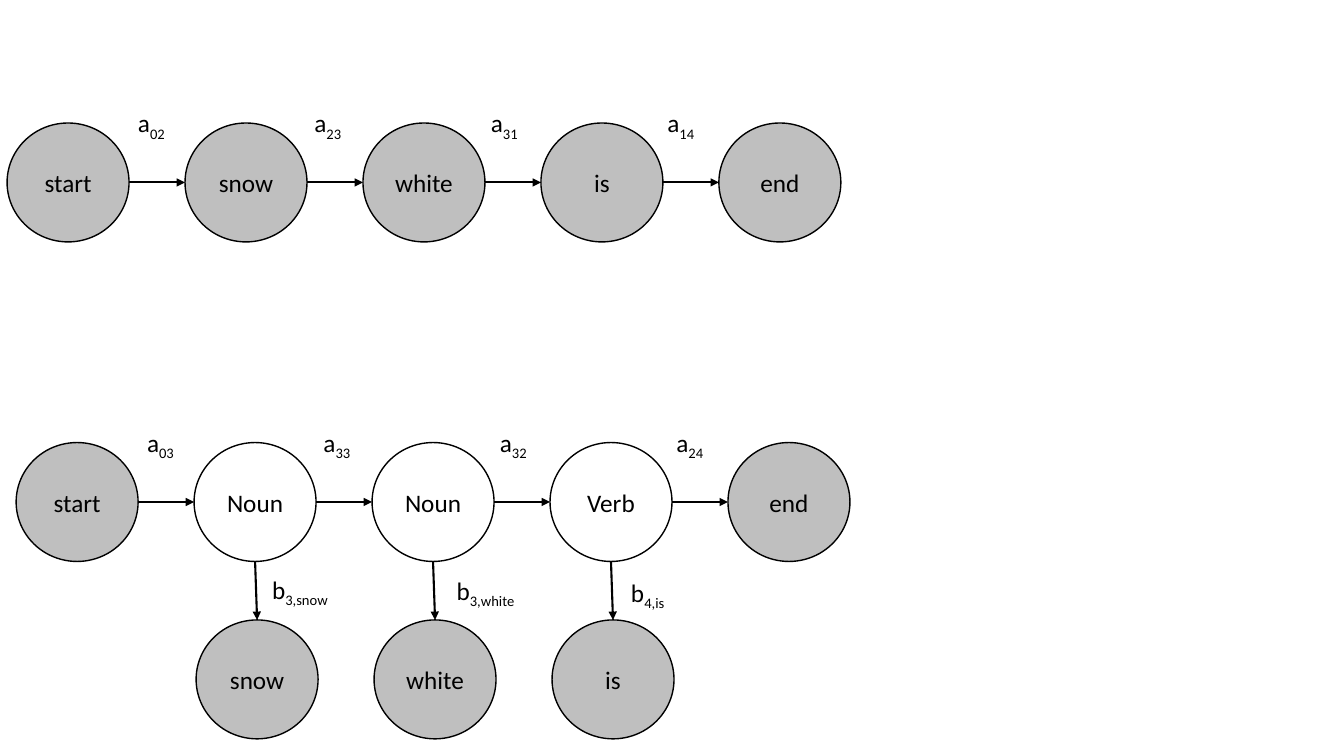
import pptx
import pptx.util
import pptx.dml.color
import pptx.enum.shapes
import pptx.enum.text
import pptx.oxml.ns
from lxml import etree

Inches, Pt = pptx.util.Inches, pptx.util.Pt
RGB = pptx.dml.color.RGBColor.from_string
COLORS = {"ink": "000000", "observed": "BFBFBF"}
STATE_W, STATE_H = 1.21, 1.18
STATE_PITCH = 7.06 / 4
LABEL_PITCH = 1.75

deck = pptx.Presentation()
deck.slide_width, deck.slide_height = Inches(13.33), Inches(7.5)
slide = deck.slides.add_slide(deck.slide_layouts[6])


def add_state(word, left, top, observed):
    state = slide.shapes.add_shape(
        pptx.enum.shapes.MSO_SHAPE.OVAL,
        Inches(left), Inches(top), Inches(STATE_W), Inches(STATE_H))
    state.shadow.inherit = False
    if observed:
        state.fill.solid()
        state.fill.fore_color.rgb = RGB(COLORS["observed"])
    else:
        state.fill.background()
    state.line.color.rgb = RGB(COLORS["ink"])
    state.line.width = Pt(1)
    state.text_frame.vertical_anchor = pptx.enum.text.MSO_ANCHOR.MIDDLE
    paragraph = state.text_frame.paragraphs[0]
    paragraph.text = word
    paragraph.alignment = pptx.enum.text.PP_ALIGN.CENTER
    paragraph.font.name, paragraph.font.size = "Calibri", Pt(18)
    paragraph.font.color.rgb = RGB(COLORS["ink"])


def add_arrow(x1, y1, x2, y2):
    arrow = slide.shapes.add_connector(
        pptx.enum.shapes.MSO_CONNECTOR.STRAIGHT,
        Inches(x1), Inches(y1), Inches(x2), Inches(y2))
    arrow.line.color.rgb = RGB(COLORS["ink"])
    arrow.line.width = Pt(1.5)
    etree.SubElement(arrow.line._get_or_add_ln(),
                     pptx.oxml.ns.qn("a:tailEnd"), type="triangle")
    etree.SubElement(arrow._element.spPr, pptx.oxml.ns.qn("a:effectLst"))


# Chains: left, top, states, transition subscripts
chains = [
    (0.07, 1.22, ["start", "snow", "white", "is", "end"],
     ["02", "23", "31", "14"]),
    (0.16, 4.39, ["start", "Noun", "Noun", "Verb", "end"],
     ["03", "33", "32", "24"]),
]
labels = []  # letter, subscript, left, top, width
for chain_left, chain_top, words, transitions in chains:
    for i, word in enumerate(words):
        left = chain_left + i * STATE_PITCH
        add_state(word, left, chain_top, word not in ("Noun", "Verb"))
        if i < len(transitions):
            middle = chain_top + STATE_H / 2
            add_arrow(left + STATE_W, middle, left + STATE_PITCH, middle)
            labels.append(("a", transitions[i],
                           chain_left + 1.2 + i * LABEL_PITCH,
                           chain_top - 0.2, 0.55))

# Emitted words below the hidden states
EMITTED_TOP = 6.15
hidden_left, hidden_top = chains[1][:2]
emissions = [("snow", "3,snow", 2.6, 5.65, 0.83),
             ("white", "3,white", 4.43, 5.66, 1.02),
             ("is", "4,is", 6.16, 5.68, 1.02)]
for i, (word, subscript, *label_box) in enumerate(emissions, start=1):
    left = hidden_left + i * STATE_PITCH
    emitted_left = left + 0.02
    add_state(word, emitted_left, EMITTED_TOP, True)
    add_arrow(left + STATE_W / 2, hidden_top + STATE_H,
              emitted_left + STATE_W / 2, EMITTED_TOP)
    labels.append(("b", subscript, *label_box))

# Probability labels
for letter, subscript, left, top, width in labels:
    label = slide.shapes.add_textbox(
        Inches(left), Inches(top), Inches(width), Inches(0.4))
    label.text_frame.word_wrap = True
    label.text_frame.auto_size = pptx.enum.text.MSO_AUTO_SIZE.SHAPE_TO_FIT_TEXT
    paragraph = label.text_frame.paragraphs[0]
    paragraph.font.name, paragraph.font.size = "Calibri", Pt(18)
    paragraph.font.color.rgb = RGB(COLORS["ink"])
    paragraph.add_run().text = letter
    index = paragraph.add_run()
    index.text = subscript
    index._r.get_or_add_rPr().set("baseline", "-25000")

deck.save("out.pptx")
